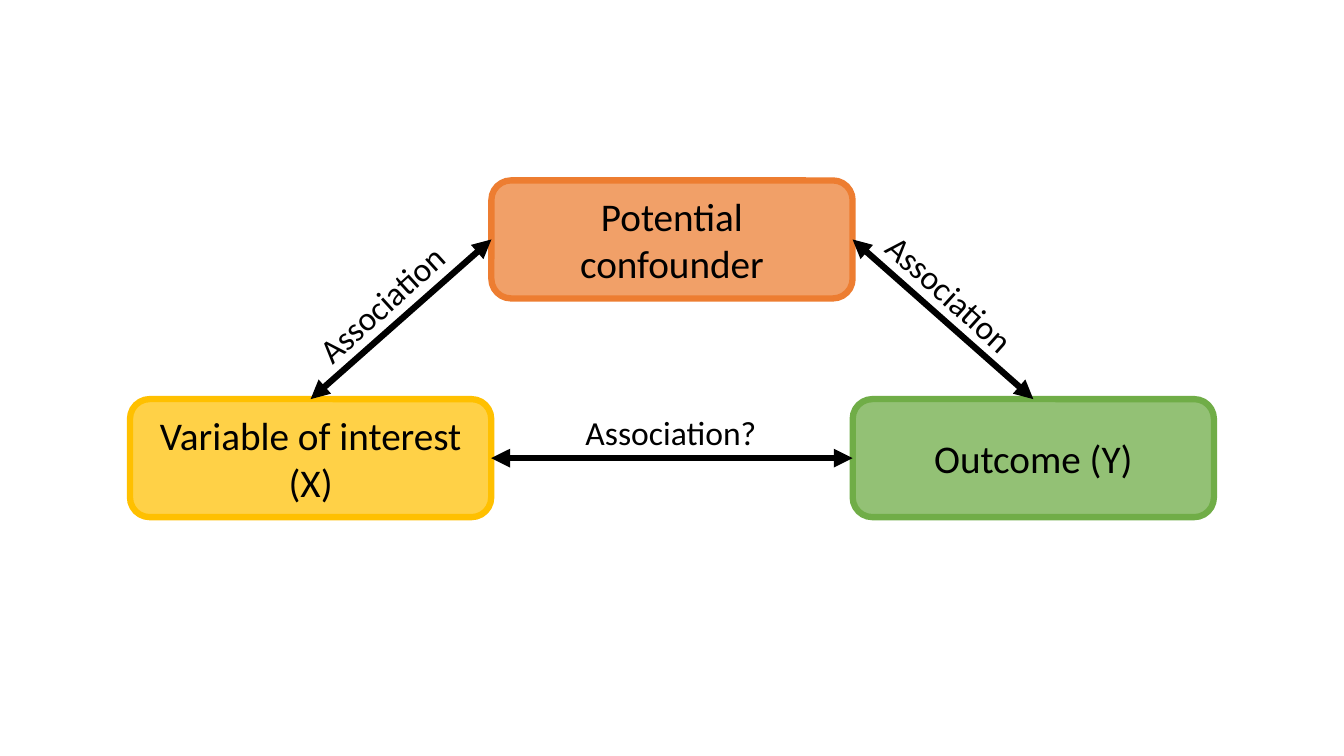
from lxml import etree
from pptx import Presentation
from pptx.dml.color import RGBColor
from pptx.enum.shapes import MSO_CONNECTOR, MSO_SHAPE
from pptx.enum.text import MSO_ANCHOR, PP_ALIGN
from pptx.oxml.ns import qn
from pptx.util import Pt

ROUND = MSO_SHAPE.ROUNDED_RECTANGLE
STRAIGHT = MSO_CONNECTOR.STRAIGHT
CENTER = PP_ALIGN.CENTER
LEFT = PP_ALIGN.LEFT
MIDDLE = MSO_ANCHOR.MIDDLE
TOP_SIDE, LEFT_SIDE, RIGHT_SIDE = 0, 1, 3

THEME = {
    "font": "Calibri", "ink": "000000", "line": 4.5,
    "box": 28, "label": 24,
    "gold": "FFC000", "green": "70AD47", "orange": "ED7D31",
}

# key: text, colour, opacity in percent, column, row
BOXES = {
    "cause": ("Variable of interest (X)", "gold", 72, 0, 1),
    "outcome": ("Outcome (Y)", "green", 75, 2, 1),
    "confounder": ("Potential confounder", "orange", 73, 1, 0),
}
# from box, side, to box, side
ARROWS = [
    ("cause", RIGHT_SIDE, "outcome", LEFT_SIDE),
    ("cause", TOP_SIDE, "confounder", LEFT_SIDE),
    ("outcome", TOP_SIDE, "confounder", RIGHT_SIDE),
]
# text, left, top, turn in degrees
LABELS = [
    ("Association", 208.1, 194.4, 317.7),
    ("Association", 614.2, 195.8, 42),
    ("Association?", 411.1, 290.9, 0),
]

BOX_W, BOX_H = 258, 84.3
GRID_X, GRID_Y = 92.9, 128.9
STEP_X, STEP_Y = 258.1, 156.2
LABEL_W, LABEL_H = 138.2, 36.4


def color(name):
    return RGBColor.from_string(THEME[name])


def write(shape, text, size, align):
    frame = shape.text_frame
    frame.word_wrap = True
    para = frame.paragraphs[0]
    para.alignment = align
    run = para.add_run()
    run.text = text
    style = {"name": THEME["font"], "size": Pt(THEME[size])}
    for key, value in style.items():
        setattr(run.font, key, value)
    run.font.color.rgb = color("ink")


def add_box(shapes, text, hue, alpha, col, row):
    left, top = GRID_X + col * STEP_X, GRID_Y + row * STEP_Y
    box = shapes.add_shape(ROUND, Pt(left), Pt(top), Pt(BOX_W), Pt(BOX_H))
    box.shadow.inherit = False
    box.fill.solid()
    box.fill.fore_color.rgb = color(hue)
    tint = box.fill._xPr.find(qn("a:solidFill"))[0]
    etree.SubElement(tint, qn("a:alpha"), val=str(alpha * 1000))
    box.line.color.rgb = color(hue)
    box.line.width = Pt(THEME["line"])
    box.text_frame.vertical_anchor = MIDDLE
    write(box, text, "box", CENTER)
    return box


def add_arrow(shapes, start, exit_side, end, entry_side):
    arrow = shapes.add_connector(STRAIGHT, 0, 0, 0, 0)
    arrow.begin_connect(start, exit_side)
    arrow.end_connect(end, entry_side)
    arrow.line.color.rgb = color("ink")
    arrow.line.width = Pt(THEME["line"])
    stroke = arrow.line._get_or_add_ln()
    for tag in ("a:headEnd", "a:tailEnd"):
        etree.SubElement(stroke, qn(tag), type="triangle")
    etree.SubElement(arrow._element.spPr, qn("a:effectLst"))


def add_label(shapes, text, left, top, turn):
    label = shapes.add_textbox(Pt(left), Pt(top), Pt(LABEL_W), Pt(LABEL_H))
    label.rotation = turn
    write(label, text, "label", LEFT)


def main():
    deck = Presentation()
    deck.slide_width, deck.slide_height = Pt(960), Pt(540)
    shapes = deck.slides.add_slide(deck.slide_layouts[6]).shapes
    boxes = {key: add_box(shapes, *item) for key, item in BOXES.items()}
    for start, exit_side, end, entry_side in ARROWS:
        add_arrow(shapes, boxes[start], exit_side, boxes[end], entry_side)
    for item in LABELS:
        add_label(shapes, *item)
    deck.save("out.pptx")


if __name__ == "__main__":
    main()
